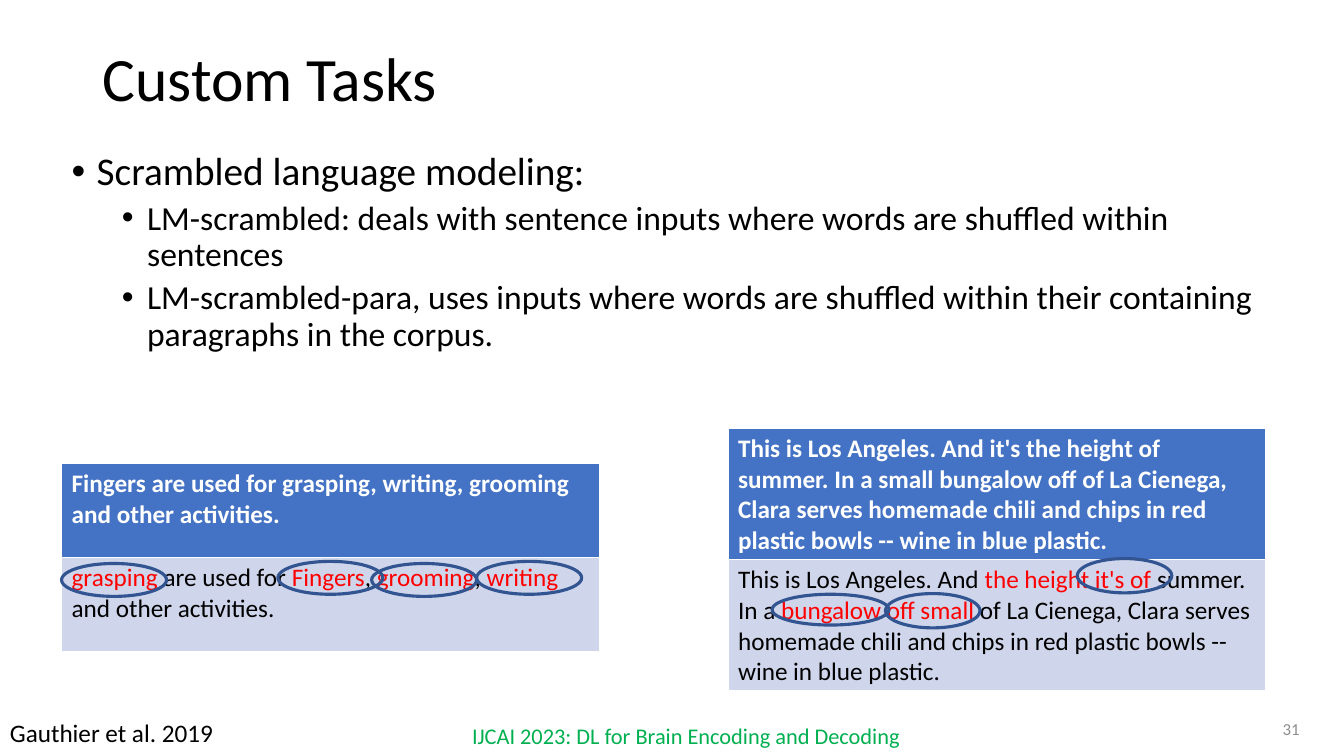
from pptx import Presentation
from pptx.dml.color import RGBColor
from pptx.enum.shapes import MSO_SHAPE
from pptx.enum.text import MSO_ANCHOR, PP_ALIGN
from pptx.oxml.ns import qn
from pptx.util import Pt
from lxml.etree import SubElement

# Content: places are (left, top, width, height) in points
TITLE = "Custom Tasks"
BULLETS = [
    (0, "Scrambled language modeling:"),
    (1, "LM-scrambled: deals with sentence inputs where words are shuffled within sentences"),
    (1, "LM-scrambled-para, uses inputs where words are shuffled within their containing "
        "paragraphs in the corpus."),
]
# Each example: left, top, row height, correct text, scrambled spans (text, is moved)
EXAMPLES = [
    (44, 331.2, 67,
     "Fingers are used for grasping, writing, grooming and other activities.",
     [("grasping", True), (" are used for ", False), ("Fingers", True), (", ", False),
      ("grooming", True), (", ", False), ("writing", True),
      (" and other activities.", False)]),
    (520, 306, 93.6,
     "This is Los Angeles. And it's the height of summer. In a small bungalow off of "
     "La Cienega, Clara serves homemade chili and chips in red plastic bowls -- wine in "
     "blue plastic.",
     [("This is Los Angeles. And", False), (" the height it's of ", True),
      ("summer. In a ", False), ("bungalow off small ", True),
      ("of La Cienega, Clara serves homemade chili and chips in red plastic bowls -- "
       "wine in blue plastic.", False)]),
]
TABLE_WIDTH = 384
RINGS = [
    (44, 402.5, 75, 23.5), (198.5, 401, 75, 23.5), (265.5, 402.5, 75, 23.5),
    (340.5, 401, 75, 23.5), (769.5, 399, 67.5, 24.5), (551.5, 424.5, 83.5, 22),
    (632.5, 424, 67.5, 24.5),
]
TITLE_PLACE = (66, 29, 828, 58)
BODY_PLACE = (44, 105, 891, 406)
FOOTERS = [
    ("Gauthier et al. 2019", (0, 508.5, 231, 29), "citation", PP_ALIGN.LEFT, MSO_ANCHOR.TOP),
    ("31", (719.5, 506, 216, 29), "number", PP_ALIGN.RIGHT, MSO_ANCHOR.MIDDLE),
    ("IJCAI 2023: DL for Brain Encoding and Decoding", (317.5, 511, 345, 29), "event",
     PP_ALIGN.CENTER, MSO_ANCHOR.MIDDLE),
]


class Theme:
    font = "Calibri"
    colors = {"header": "4472C4", "row": "CFD5EA", "ring": "325491"}
    ring_width = 2.25
    # Text role: size, colour, bold
    text = {
        "title": (44, "000000", False),
        "level 0": (28, "000000", False),
        "level 1": (24, "000000", False),
        "correct": (18, "FFFFFF", True),
        "kept": (18, "000000", False),
        "moved": (18, "FF0000", False),
        "citation": (18, "000000", False),
        "number": (12, "8C8C8C", False),
        "event": (16, "00B050", False),
    }


def color(name):
    return RGBColor.from_string(Theme.colors[name])


def points(place):
    return [Pt(value) for value in place]


def add_span(para, text, role):
    size, ink, bold = Theme.text[role]
    span = para.add_run()
    span.text = text
    for name, value in {"name": Theme.font, "size": Pt(size), "bold": bold}.items():
        setattr(span.font, name, value)
    span.font.color.rgb = RGBColor.from_string(ink)


def add_box(place, anchor=MSO_ANCHOR.TOP):
    frame = page.shapes.add_textbox(*points(place)).text_frame
    frame.word_wrap = True
    frame.vertical_anchor = anchor
    return frame


def set_bullet(para, level):
    properties = para._p.get_or_add_pPr()
    properties.set("marL", str(Pt(18 + 36 * level)))
    properties.set("indent", str(Pt(-18)))
    SubElement(properties, qn("a:buFont")).set("typeface", "Arial")
    SubElement(properties, qn("a:buChar")).set("char", "•")


def add_example(left, top, row_height, correct, scrambled):
    place = points((left, top, TABLE_WIDTH, 2 * row_height))
    table = page.shapes.add_table(2, 1, *place).table
    rows = [("header", [(correct, "correct")]),
            ("row", [(text, "moved" if moved else "kept") for text, moved in scrambled])]
    for index, (fill, spans) in enumerate(rows):
        table.rows[index].height = Pt(row_height)
        cell = table.cell(index, 0)
        cell.fill.solid()
        cell.fill.fore_color.rgb = color(fill)
        for text, role in spans:
            add_span(cell.text_frame.paragraphs[0], text, role)


deck = Presentation()
deck.slide_width, deck.slide_height = Pt(960), Pt(540)
page = deck.slides.add_slide(deck.slide_layouts[5])

# Title
title = page.shapes.title
title.left, title.top, title.width, title.height = points(TITLE_PLACE)
title.text_frame.vertical_anchor = MSO_ANCHOR.MIDDLE
para = title.text_frame.paragraphs[0]
para.alignment, para.line_spacing = PP_ALIGN.LEFT, 0.9
add_span(para, TITLE, "title")

# Bullets
frame = add_box(BODY_PLACE)
for index, (level, text) in enumerate(BULLETS):
    para = frame.add_paragraph() if index else frame.paragraphs[0]
    set_bullet(para, level)
    para.level, para.line_spacing = level, 0.9
    para.space_before = Pt(5 if index else 0)
    add_span(para, text, f"level {level}")

# Example tables
for example in EXAMPLES:
    add_example(*example)

# Rings around the moved words
for place in RINGS:
    ring = page.shapes.add_shape(MSO_SHAPE.OVAL, *points(place))
    ring.shadow.inherit = False
    ring.fill.background()
    ring.line.color.rgb = color("ring")
    ring.line.width = Pt(Theme.ring_width)

# Citation, slide number and event
for text, place, role, alignment, anchor in FOOTERS:
    para = add_box(place, anchor).paragraphs[0]
    para.alignment = alignment
    add_span(para, text, role)

deck.save("out.pptx")
